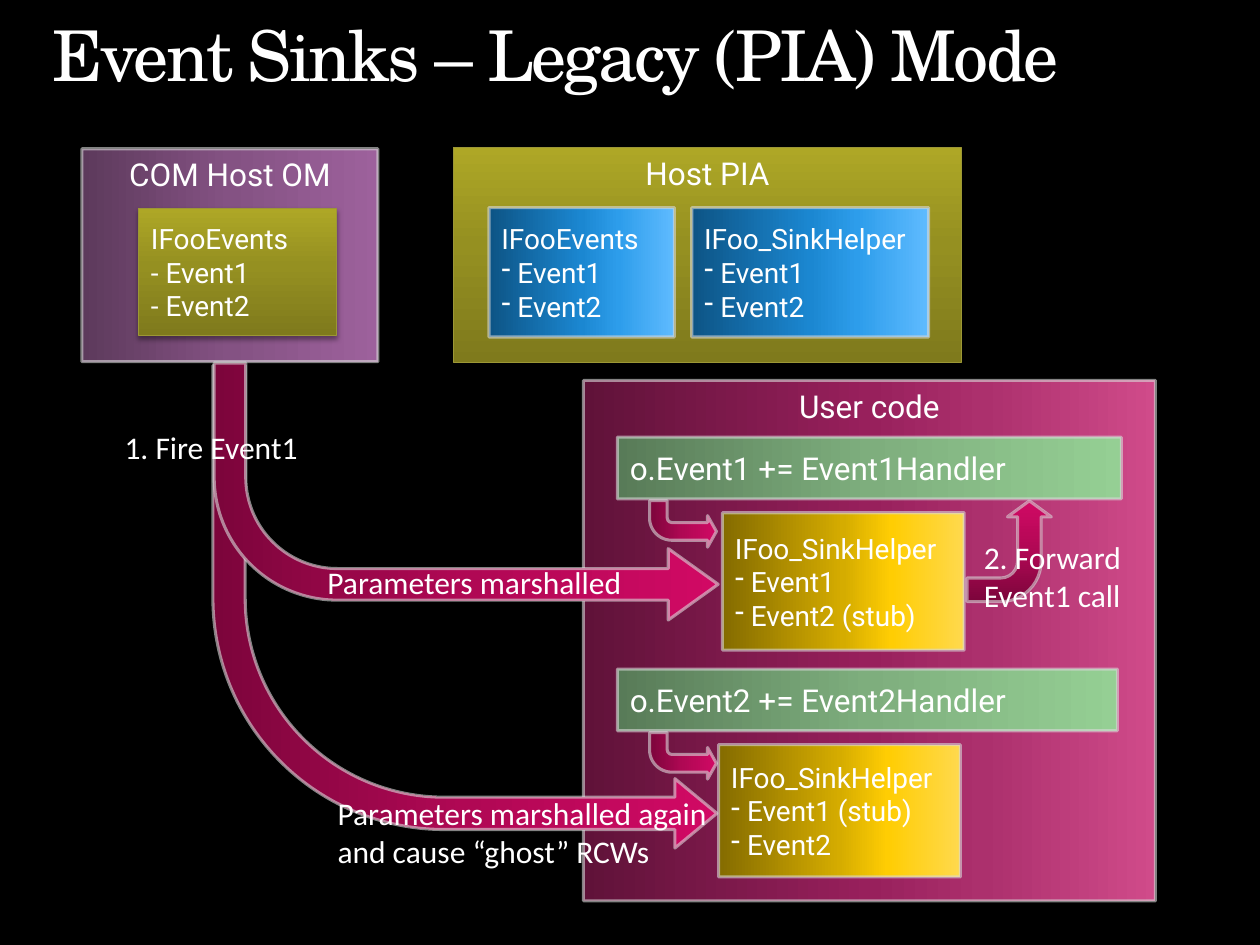
from dataclasses import dataclass
from typing import NamedTuple

from lxml import etree
from pptx import Presentation
from pptx.dml import color
from pptx.enum import shapes, text
from pptx.oxml import ns
from pptx.util import Pt


class Box(NamedTuple):
    left: float
    top: float
    width: float
    height: float

    def inner(self, left, top, width, height):
        return Box(self.left + left, self.top + top, width, height)

    def lengths(self):
        return [Pt(value) for value in self]


@dataclass(frozen=True)
class Theme:
    title_font: str = "TeX Gyre Schola"
    box_font: str = "Roboto"
    label_font: str = "Calibri"
    title_size: int = 40
    heading_size: int = 18
    member_size: int = 16
    background: str = "000000"
    ink: str = "FFFFFF"
    edge: str = "D9D9D9"
    olive_edge: str = "9C9735"
    user: tuple = ((0, "601239"), (50, "98205C"), (70, "AC306D"), (100, "D04B8A"))
    gold: tuple = ((0, "846B00"), (50, "D5AC00"), (70, "FFCD03"), (100, "FFD94D"))
    green: tuple = ((0, "587B58"), (50, "7EAE7D"), (100, "95CF94"))
    arrow: tuple = ((0, "7C053B"), (50, "B00854"), (100, "D10964"))
    purple: tuple = ((0, "5D3A5C"), (50, "845283"), (100, "9D619C"))
    olive: tuple = ((0, "7F7A1C"), (55, "959021"), (100, "AEA726"))
    blue: tuple = ((0, "0D5485"), (50, "1B87D1"), (70, "2D9DEB"), (100, "5FBBFF"))


THEME = Theme()
SINK_HELPER = "IFoo_SinkHelper"


def add_node(parent, tag, **attributes):
    return etree.SubElement(parent, ns.qn(tag), attributes)


def rgb(value):
    return color.RGBColor.from_string(value)


def paint(shape, stops):
    is_olive = stops == THEME.olive
    properties = shape._element.spPr
    shape.fill.gradient()
    shape.fill.gradient_angle = 90 if is_olive else 0
    stop_list = properties.find(".//" + ns.qn("a:gsLst"))
    for stop in list(stop_list):
        stop_list.remove(stop)
    for position, value in stops:
        stop = add_node(stop_list, "a:gs", pos=str(position * 1000))
        add_node(stop, "a:srgbClr", val=value)
    shape.line.color.rgb = rgb(THEME.olive_edge if is_olive else THEME.edge)
    shape.line.width = Pt(0.5 if is_olive else 1.75)
    shape.shadow.inherit = False
    if is_olive:
        effects = properties.find(ns.qn("a:effectLst"))
        shadow = add_node(effects, "a:outerShdw", blurRad=str(Pt(3.1)),
                          dist=str(Pt(2)), dir="5400000", rotWithShape="0")
        tint = add_node(shadow, "a:srgbClr", val="000000")
        add_node(tint, "a:alpha", val="38000")
    else:
        tint = properties.find(ns.qn("a:ln")).find(".//" + ns.qn("a:srgbClr"))
        add_node(tint, "a:alpha", val="60000")


def write(shape, lines, font, size, align=text.PP_ALIGN.LEFT):
    frame = shape.text_frame
    frame.word_wrap = True
    frame.text = "\n".join(lines)
    for para in frame.paragraphs:
        para.alignment = align
        for span in para.runs:
            span.font.name = font
            span.font.size = Pt(size)
            span.font.color.rgb = rgb(THEME.ink)
    return frame


def add_panel(parent, box, stops):
    panel = parent.add_shape(shapes.MSO_SHAPE.RECTANGLE, *box.lengths())
    paint(panel, stops)
    return panel


def add_headed_panel(parent, box, stops, heading):
    panel = add_panel(parent, box, stops)
    frame = write(panel, [heading], THEME.box_font, THEME.heading_size,
                  text.PP_ALIGN.CENTER)
    frame.vertical_anchor = text.MSO_ANCHOR.TOP


def add_member_box(parent, box, stops, lines, size=THEME.member_size, bulleted=True):
    frame = write(add_panel(parent, box, stops), lines, THEME.box_font, size)
    frame.vertical_anchor = text.MSO_ANCHOR.MIDDLE
    if bulleted:
        for para in frame.paragraphs[1:]:
            settings = para._p.get_or_add_pPr()
            settings.set("marL", "0")
            settings.set("indent", "0")
            add_node(settings, "a:buChar", char="-")


def add_bent_arrow(parent, box, adjustments, rotation=180):
    arrow = parent.add_shape(shapes.MSO_SHAPE.BENT_ARROW, *box.lengths())
    for index, value in enumerate(adjustments):
        arrow.adjustments[index] = value
    arrow.rotation = rotation
    arrow._element.spPr.xfrm.set("flipH", "1")
    paint(arrow, THEME.arrow)


def add_label(parent, box, *lines):
    label = parent.add_textbox(*box.lengths())
    write(label, lines, THEME.label_font, THEME.heading_size)


def add_title(page, box):
    title = page.shapes.title
    title.left, title.top, title.width, title.height = box.lengths()
    frame = write(title, ["Event Sinks – Legacy (PIA) Mode"],
                  THEME.title_font, THEME.title_size)
    frame.margin_left = frame.margin_right = frame.margin_top = frame.margin_bottom = 0
    frame.vertical_anchor = text.MSO_ANCHOR.TOP
    para = frame.paragraphs[0]
    para.line_spacing = 0.9
    para.runs[0]._r.get_or_add_rPr().set("spc", "-150")


def add_subscription(page, box, statement, members):
    parts = page.shapes.add_group_shape().shapes
    helper_top = 43.2
    add_member_box(parts, box.inner(box.width - 228, helper_top, 138.2,
                                    box.height - helper_top),
                   THEME.gold, [SINK_HELPER, *members])
    add_member_box(parts, box.inner(0, 0, box.width, 35.3), THEME.green,
                   [statement], THEME.heading_size)
    add_bent_arrow(parts, box.inner(18.4, 36.3, 38.2, 26.6),
                   (0.38, 0.34, 0.19, 0.48))


def add_user_code(page, box):
    add_headed_panel(page.shapes, box, THEME.user, "User code")
    add_subscription(page, box.inner(19.4, 32.4, 288, 121.7),
                     "o.Event1 += Event1Handler", [" Event1", " Event2 (stub)"])
    add_subscription(page, box.inner(19.4, 164.9, 285.8, 118.8),
                     "o.Event2 += Event2Handler", [" Event1 (stub)", " Event2"])


def add_com_host(page, box):
    parts = page.shapes.add_group_shape().shapes
    add_headed_panel(parts, box, THEME.purple, "COM Host OM")
    add_member_box(parts, box.inner(32.4, 34, 113, 72.7), THEME.olive,
                   ["IFooEvents", "- Event1", "- Event2"], bulleted=False)


def add_host_pia(page, box):
    parts = page.shapes.add_group_shape().shapes
    add_headed_panel(parts, box, THEME.olive, "Host PIA")
    for name, left, width in (("IFooEvents", 20.2, 106), (SINK_HELPER, 136.1, 135.4)):
        add_member_box(parts, box.inner(left, 34.4, width, 74), THEME.blue,
                       [name, " Event1", " Event2"])


def add_forward_call(page, box):
    parts = page.shapes.add_group_shape().shapes
    add_bent_arrow(parts, box.inner(0, 0, 57.6, 48.2), (0.28, 0.26, 0.19, 0.48), 90)
    add_label(parts, box.inner(7.2, 13, 105.1, 51.1), "2. Forward Event1 call")


def add_event_flow(page, box):
    parts = page.shapes
    add_bent_arrow(parts, box.inner(0, 1.4, 288, 275.8), (0.067, 0.072, 0.087, 0.479))
    add_bent_arrow(parts, box.inner(0.7, 0, 288, 146.9), (0.123, 0.139, 0.194, 0.479))
    add_label(parts, box.inner(-57.6, 33.8, 129.6, 28.8), "1. Fire Event1")
    add_label(parts, box.inner(58.3, 110.9, 185.8, 28.8), "Parameters marshalled")
    add_label(parts, box.inner(64.1, 242.6, 228.2, 51.1),
              "Parameters marshalled again", "and cause “ghost” RCWs")


def main():
    deck = Presentation()
    deck.slide_width, deck.slide_height = Pt(720), Pt(540)
    page = deck.slides.add_slide(deck.slide_layouts.get_by_name("Title Only"))
    page.background.fill.solid()
    page.background.fill.fore_color.rgb = rgb(THEME.background)
    add_title(page, Box(30.2, 12.2, 659.5, 48.2))
    add_user_code(page, Box(333.4, 217.4, 326.9, 297.4))
    add_com_host(page, Box(46.8, 85, 169.2, 121.7))
    add_forward_call(page, Box(547.9, 290.9, 112.3, 64.1))
    add_event_flow(page, Box(121.7, 207.4, 292.3, 293.7))
    add_host_pia(page, Box(259.2, 84.2, 290.2, 123.1))
    deck.save("out.pptx")


if __name__ == "__main__":
    main()
